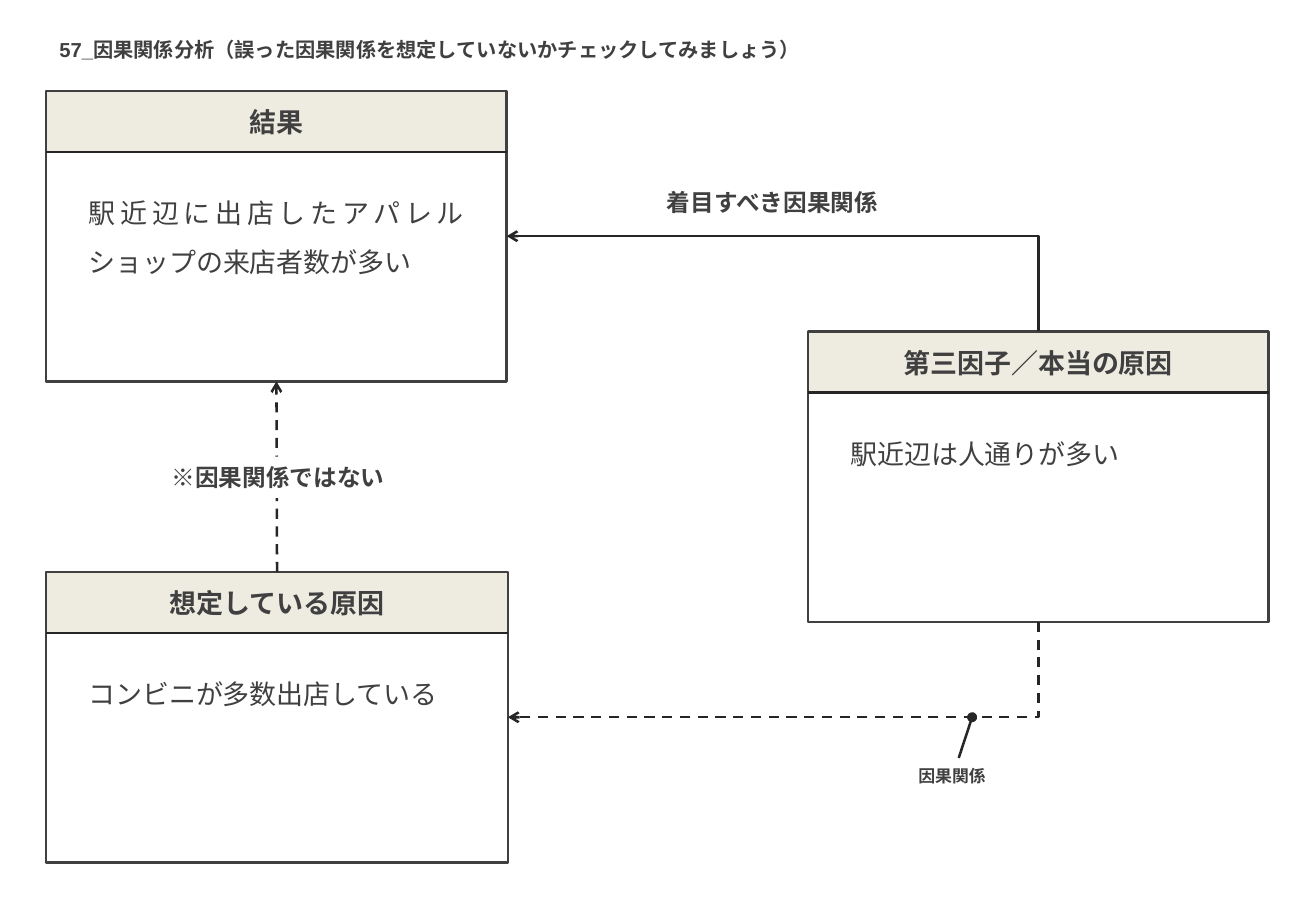
from dataclasses import dataclass

from lxml import etree
from pptx import Presentation
from pptx.dml.color import RGBColor
from pptx.enum.dml import MSO_LINE
from pptx.enum.shapes import MSO_CONNECTOR, MSO_SHAPE
from pptx.enum.text import MSO_ANCHOR, PP_ALIGN
from pptx.oxml.ns import qn
from pptx.util import Inches, Pt

RECT = MSO_SHAPE.RECTANGLE
STRAIGHT, ELBOW = MSO_CONNECTOR.STRAIGHT, MSO_CONNECTOR.ELBOW
DASH = MSO_LINE.DASH
TOP, MIDDLE = MSO_ANCHOR.TOP, MSO_ANCHOR.MIDDLE
LEFT, CENTER, JUSTIFY = PP_ALIGN.LEFT, PP_ALIGN.CENTER, PP_ALIGN.JUSTIFY


@dataclass(frozen=True)
class Theme:
    font: str = "Arial"
    text: RGBColor = RGBColor(0x40, 0x40, 0x40)
    line: RGBColor = RGBColor(0x26, 0x26, 0x26)
    header: RGBColor = RGBColor(0xEE, 0xEC, 0xE1)
    white: RGBColor = RGBColor(0xFF, 0xFF, 0xFF)
    card_size: int = 16
    label_size: int = 14
    title_size: int = 12
    note_size: int = 10
    stroke: float = 1.5


@dataclass(frozen=True)
class Card:
    x: float
    y: float
    heading: str
    body: str
    w: float = 3.79
    h: float = 2.39

    @property
    def right(self) -> float:
        return self.x + self.w

    @property
    def bottom(self) -> float:
        return self.y + self.h

    @property
    def cx(self) -> float:
        return self.x + self.w / 2

    @property
    def cy(self) -> float:
        return self.y + self.h / 2


THEME = Theme()
HEADER_H = 0.5
BODY_INSET = 0.25
RESULT = Card(0.38, 0.75, "結果", "駅近辺に出店したアパレルショップの来店者数が多い")
ASSUMED = Card(0.38, 4.71, "想定している原因", "コンビニが多数出店している", w=3.8)
TRUE_CAUSE = Card(6.65, 2.73, "第三因子／本当の原因", "駅近辺は人通りが多い")

prs = Presentation()
prs.slide_width, prs.slide_height = Inches(10.83), Inches(7.5)
s = prs.slides.add_slide(prs.slide_layouts[6])


def add_rect(x: float, y: float, w: float, h: float, fill=None, outline=None):
    sp = s.shapes.add_shape(RECT, Inches(x), Inches(y), Inches(w), Inches(h))
    sp.shadow.inherit = False
    if fill is None:
        sp.fill.background()
    else:
        sp.fill.solid()
        sp.fill.fore_color.rgb = fill
    if outline is None:
        sp.line.fill.background()
    else:
        sp.line.color.rgb = outline
        sp.line.width = Pt(THEME.stroke)
    return sp


def add_text(text: str, x: float, y: float, w: float, h: float, size: int,
             bold=True, align=CENTER, anchor=MIDDLE, spacing=1.0, wrap=True, fill=None) -> None:
    sp = s.shapes.add_textbox(Inches(x), Inches(y), Inches(w), Inches(h))
    if fill is not None:
        sp.fill.solid()
        sp.fill.fore_color.rgb = fill
    tf = sp.text_frame
    tf.word_wrap, tf.vertical_anchor = wrap, anchor
    p = tf.paragraphs[0]
    p.text, p.alignment, p.line_spacing = text, align, spacing
    p.font.name, p.font.size, p.font.bold = THEME.font, Pt(size), bold
    p.font.color.rgb = THEME.text


def style_line(c, dashed=False, head=None, tail=None) -> None:
    c.line.color.rgb = THEME.line
    c.line.width = Pt(THEME.stroke)
    if dashed:
        c.line.dash_style = DASH
    ln = c.line._get_or_add_ln()
    for tag, kind in (("a:headEnd", head), ("a:tailEnd", tail)):
        if kind:
            etree.SubElement(ln, qn(tag), type=kind)
    etree.SubElement(c._element.spPr, qn("a:effectLst"))


def add_line(x1: float, y1: float, x2: float, y2: float, **style) -> None:
    c = s.shapes.add_connector(STRAIGHT, Inches(x1), Inches(y1), Inches(x2), Inches(y2))
    style_line(c, **style)


def add_bent_arrow(x1: float, y1: float, x2: float, y2: float, dashed=False) -> None:
    w, h = abs(y2 - y1), abs(x2 - x1)
    x, y = (x1 + x2 - w) / 2, (y1 + y2 - h) / 2
    c = s.shapes.add_connector(ELBOW, Inches(x), Inches(y), Inches(x + w), Inches(y + h))
    upward = y2 < y1
    xfrm = c._element.spPr.find(qn("a:xfrm"))
    xfrm.set("rot", str((270 if upward else 90) * 60000))
    if upward:
        xfrm.set("flipV", "1")
    c._element.spPr.find(qn("a:prstGeom")).set("prst", "bentConnector2")
    style_line(c, dashed, tail="arrow")


def add_card(card: Card) -> None:
    add_rect(card.x, card.y, card.w, HEADER_H, fill=THEME.header)
    add_rect(card.x, card.y, card.w, card.h, outline=THEME.text)
    add_line(card.right, card.y + HEADER_H, card.x, card.y + HEADER_H)
    add_text(card.heading, card.x, card.y + 0.07, card.w, 0.37, THEME.card_size)
    add_text(card.body, card.x + BODY_INSET, card.y + 0.69, card.w - 2 * BODY_INSET, 0.87,
             THEME.card_size, bold=False, align=JUSTIFY, anchor=TOP, spacing=1.5)


for card in (TRUE_CAUSE, RESULT, ASSUMED):
    add_card(card)

add_bent_arrow(TRUE_CAUSE.cx, TRUE_CAUSE.y, RESULT.right, RESULT.cy)
add_bent_arrow(TRUE_CAUSE.cx, TRUE_CAUSE.bottom, ASSUMED.right, ASSUMED.cy, dashed=True)
add_text("着目すべき因果関係", RESULT.right, 1.49, TRUE_CAUSE.cx - RESULT.right, 0.34,
         THEME.label_size)

add_line(ASSUMED.cx, ASSUMED.y, RESULT.cx, RESULT.bottom, dashed=True, tail="arrow")
add_text("※因果関係ではない", 1.02, 3.76, 2.54, 0.34, THEME.label_size, fill=THEME.white)

add_text("因果関係", 7.46, 6.17, 1.28, 0.33, THEME.note_size,
         align=JUSTIFY, anchor=TOP, spacing=1.5)
add_line(8, ASSUMED.cy, 7.89, 6.24, head="oval")

add_text("57_因果関係分析（誤った因果関係を想定していないかチェックしてみましょう）",
         0.39, 0.26, 6.54, 0.3, THEME.title_size, align=LEFT, anchor=TOP, wrap=False)

prs.save("out.pptx")
